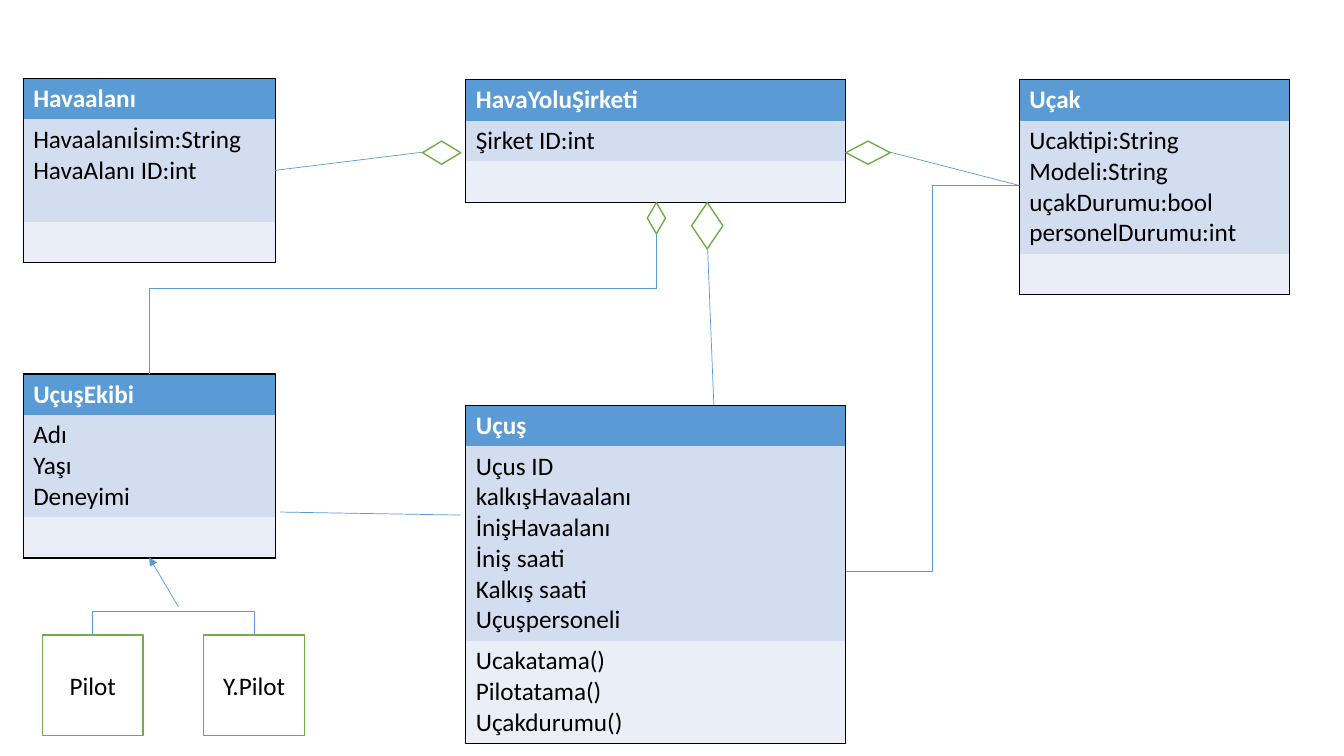
from collections import namedtuple
from lxml.etree import SubElement
from pptx import Presentation
from pptx.dml.color import RGBColor
from pptx.enum.shapes import MSO_CONNECTOR as LINK, MSO_SHAPE as SHAPE
from pptx.enum.text import MSO_ANCHOR as ANCHOR, PP_ALIGN as ALIGN
from pptx.oxml import parse_xml
from pptx.oxml.ns import nsdecls, qn
from pptx.util import Inches, Pt

COLORS = {"header": "5B9BD5", "fields": "D2DEEF", "methods": "EAEFF7",
          "link": "5B9BD5", "outline": "70AD47", "white": "FFFFFF", "black": "000000"}
FONT = "Calibri"
LINE_HEIGHT, CELL_PADDING = 0.305, 0.1

Box = namedtuple("Box", "left top width height")


def color(name):
    """Return a named colour."""
    return RGBColor.from_string(COLORS[name])


def write(frame, text, size=18, ink="black", bold=False, align=ALIGN.LEFT):
    """Write text into a frame, one paragraph per line."""
    for index, line in enumerate(text.split("\n")):
        para = frame.add_paragraph() if index else frame.paragraphs[0]
        para.alignment = align
        para.font.size = Pt(size)
        if line:
            span = para.add_run()
            span.text = line
            font = span.font
            font.name, font.size, font.bold = FONT, Pt(size), bold
            font.color.rgb = color(ink)


def set_borders(cell, first, last):
    """Outline the outer edges of a one-column table and clear the inner ones."""
    shown = {"lnL": True, "lnR": True, "lnT": first, "lnB": last}
    properties = cell._tc.get_or_add_tcPr()
    for index, (tag, visible) in enumerate(shown.items()):
        paint = (f'<a:solidFill><a:srgbClr val="{COLORS["black"]}"/></a:solidFill>'
                 if visible else "<a:noFill/>")
        properties.insert(index, parse_xml(
            f'<a:{tag} {nsdecls("a")} w="{Pt(1)}">{paint}</a:{tag}>'))


def class_table(page, box, name, fields, methods="", field_lines=None):
    """Draw a class as a header, a field and a method compartment."""
    lines = (1, field_lines or fields.count("\n") + 1, methods.count("\n") + 1)
    heights = [count * LINE_HEIGHT + CELL_PADDING for count in lines]
    table = page.shapes.add_table(3, 1, Inches(box.left), Inches(box.top),
                                  Inches(box.width), Inches(sum(heights))).table
    parts = zip(("header", "fields", "methods"), (name, fields, methods), heights)
    for row, (part, text, height) in enumerate(parts):
        table.rows[row].height = Inches(height)
        cell = table.cell(row, 0)
        cell.fill.solid()
        cell.fill.fore_color.rgb = color(part)
        set_borders(cell, first=row == 0, last=row == 2)
        header = part == "header"
        write(cell.text_frame, text, ink="white" if header else "black", bold=header)


def outlined(page, kind, box, text=""):
    """Draw a white shape with a green outline and optional centred text."""
    shape = page.shapes.add_shape(kind, *map(Inches, box))
    shape.shadow.inherit = False
    shape.fill.solid()
    shape.fill.fore_color.rgb = color("white")
    shape.line.color.rgb = color("outline")
    shape.line.width = Pt(1)
    if text:
        shape.text_frame.vertical_anchor = ANCHOR.MIDDLE
        write(shape.text_frame, text, align=ALIGN.CENTER)


def link(page, start, end, kind=LINK.STRAIGHT, arrow=False):
    """Connect two points with a thin blue line."""
    line = page.shapes.add_connector(kind, *map(Inches, (*start, *end)))
    line.line.color.rgb = color("link")
    line.line.width = Pt(0.5)
    properties = line._element.spPr
    if arrow:
        SubElement(properties.find(qn("a:ln")), qn("a:tailEnd"), type="triangle")
    SubElement(properties, qn("a:effectLst"))
    return line


def vertical_elbow(page, start, end, bend=0.5):
    """Draw an elbow that leaves and arrives vertically, by a quarter turn."""
    middle_x, middle_y = (start[0] + end[0]) / 2, (start[1] + end[1]) / 2
    turned = [(middle_x + y - middle_y, middle_y - x + middle_x) for x, y in (start, end)]
    properties = link(page, *turned, kind=LINK.ELBOW)._element.spPr
    properties.find(qn("a:xfrm")).set("rot", str(90 * 60000))
    guides = properties.find(qn("a:prstGeom")).find(qn("a:avLst"))
    SubElement(guides, qn("a:gd"), name="adj1", fmla=f"val {round(bend * 100000)}")


def pilot_branch(page, box):
    """Draw the two pilot kinds, their shared branch and the arrow to the crew."""
    side, step = 1, 1.6
    top = box.top + box.height - side
    for index, name in enumerate(("Pilot", "Y.Pilot")):
        outlined(page, SHAPE.RECTANGLE,
                 Box(box.left + index * step, top, side, side), name)
    middle = box.left + side / 2
    vertical_elbow(page, (middle, top + 0.01), (middle + step, top), bend=25)
    link(page, (box.left + 1.35, box.top + 0.49), (box.left + 1.06, box.top), arrow=True)


def relations(page, airport, company, plane, crew, flight):
    """Draw the links between the classes and their aggregation diamonds."""
    right, bottom = company.left + company.width, company.top + company.height
    level = 1.51
    plane_side = (plane.left, 1.84)
    crew_x, flight_x = 6.51, 7.01
    link(page, (right + 0.44, level), plane_side)
    link(page, (company.left - 0.43, level), (airport.left + airport.width, 1.69))
    link(page, plane_side, (right, 5.67), kind=LINK.ELBOW)
    link(page, (7.08, flight.top), (7, bottom))
    link(page, (flight.left - 0.05, 5.11), (crew.left + crew.width + 0.05, 5.08))
    vertical_elbow(page, (crew_x, bottom), (crew.left + crew.width / 2, crew.top))
    for diamond in (Box(company.left - 0.43, level - 0.11, 0.38, 0.23),
                    Box(right, level - 0.11, 0.44, 0.23),
                    Box(crew_x - 0.09, bottom, 0.18, 0.31),
                    Box(flight_x - 0.15, bottom, 0.31, 0.46)):
        outlined(page, SHAPE.DIAMOND, diamond)


def class_diagram(page):
    """Lay out the airline class diagram."""
    airport = Box(0.23, 0.78, 2.5, 1.81)
    company = Box(4.62, 0.79, 3.77, 1.22)
    plane = Box(10.11, 0.79, 2.68, 2.11)
    crew = Box(0.23, 3.71, 2.5, 1.81)
    flight = Box(4.62, 4.02, 3.77, 3.3)
    class_table(page, company, "HavaYoluŞirketi", "Şirket ID:int")
    class_table(page, plane, "Uçak",
                "Ucaktipi:String\nModeli:String\nuçakDurumu:bool\npersonelDurumu:int")
    class_table(page, airport, "Havaalanı",
                "Havaalanıİsim:String\nHavaAlanı ID:int", field_lines=3)
    class_table(page, flight, "Uçuş",
                "Uçus ID\nkalkışHavaalanı\nİnişHavaalanı\nİniş saati\n"
                "Kalkış saati\nUçuşpersoneli",
                "Ucakatama()\nPilotatama()\nUçakdurumu()")
    class_table(page, crew, "UçuşEkibi", "Adı\nYaşı\nDeneyimi")
    relations(page, airport, company, plane, crew, flight)
    pilot_branch(page, Box(0.42, 5.53, 2.6, 1.77))


deck = Presentation()
deck.slide_width, deck.slide_height = Inches(13.33), Inches(7.5)
class_diagram(deck.slides.add_slide(deck.slide_layouts[6]))
deck.save("out.pptx")
